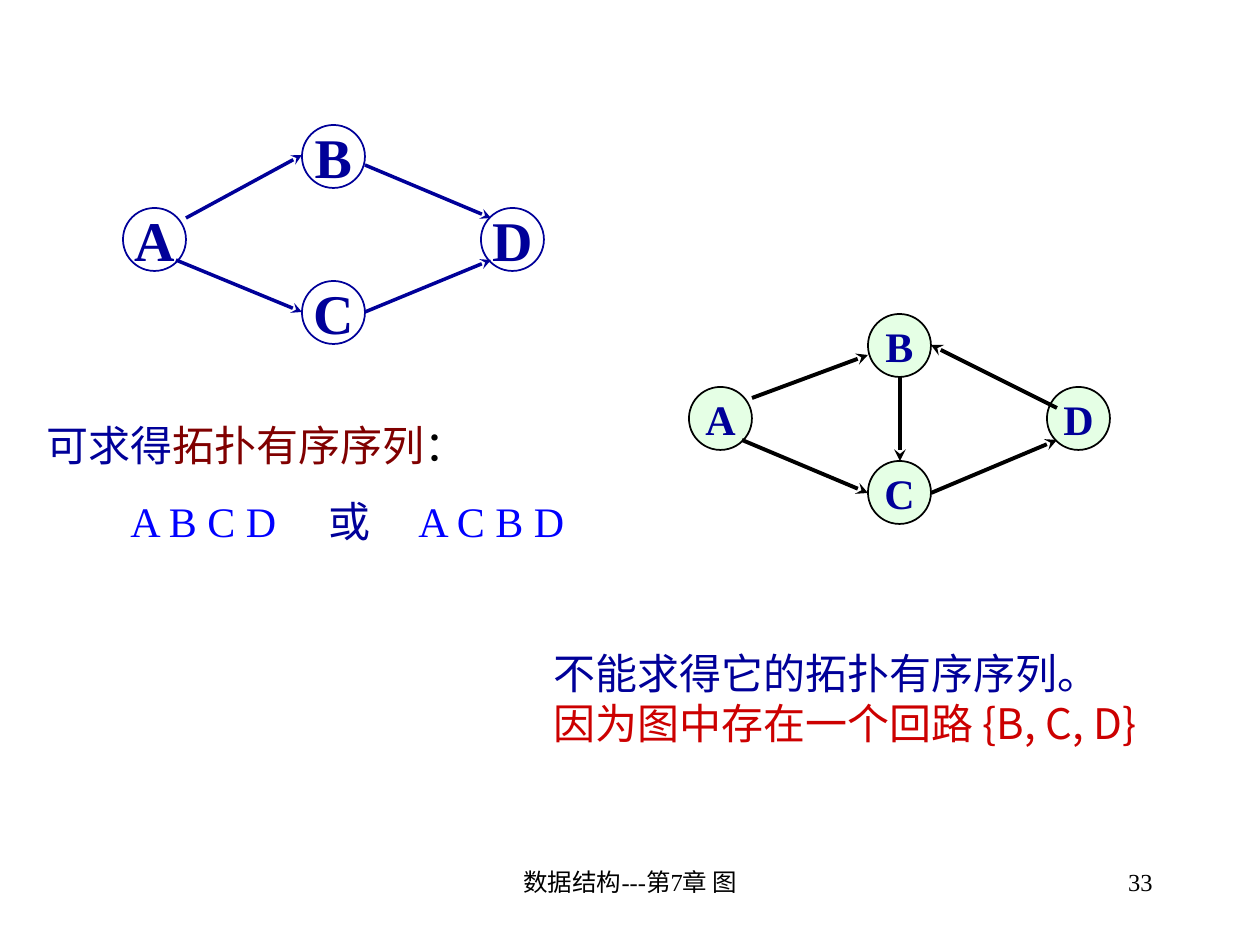
import dataclasses

import pptx
import pptx.dml.color
import pptx.enum.shapes
import pptx.enum.text
import pptx.oxml
import pptx.oxml.ns
import pptx.util

EMU_PER_PX = 914400 / 126
ALIGN = pptx.enum.text.PP_ALIGN
ANCHOR = pptx.enum.text.MSO_ANCHOR


@dataclasses.dataclass(frozen=True)
class Theme:
    navy: str = "000099"
    blue: str = "0000FF"
    maroon: str = "800000"
    red: str = "CC0000"
    black: str = "000000"
    mint: str = "CCFFCC"
    serif: str = "Times New Roman"
    sans: str = "Noto Sans CJK SC"
    footer_size: int = 14
    body_size: int = 24
    large_size: int = 32


def px(value):
    return pptx.util.Emu(round(value * EMU_PER_PX))


def rgb(value):
    return pptx.dml.color.RGBColor.from_string(value)


def add_xml(parent, tag, **attributes):
    child = pptx.oxml.parse_xml(f"<a:{tag} {pptx.oxml.ns.nsdecls('a')}/>")
    for name, value in attributes.items():
        child.set(name, str(value))
    parent.append(child)
    return child


class SlideBuilder:
    def __init__(self, slide, theme):
        self.slide = slide
        self.theme = theme

    def add_runs(self, paragraph, runs, **font_format):
        """Add (text, colour) runs that share one font format."""
        for text, colour in runs:
            run = paragraph.add_run()
            run.text = text
            for name, value in font_format.items():
                setattr(run.font, name, value)
            run.font.color.rgb = rgb(colour)
            if font_format["name"] == self.theme.sans:
                add_xml(run.font._element, "ea", typeface=self.theme.sans)

    def text(self, left, top, width, height, lines, size, font,
             align=ALIGN.LEFT, gap=0, tabs=()):
        box = self.slide.shapes.add_textbox(px(left), px(top), px(width), px(height))
        frame = box.text_frame
        frame.word_wrap = True
        for index, runs in enumerate(lines):
            paragraph = frame.add_paragraph() if index else frame.paragraphs[0]
            paragraph.alignment = align
            if index and gap:
                paragraph.space_before = pptx.util.Pt(gap)
            if index and tabs:
                stops = add_xml(paragraph._p.get_or_add_pPr(), "tabLst")
                for stop in tabs:
                    add_xml(stops, "tab", pos=px(stop), algn="l")
            self.add_runs(paragraph, runs, name=font, size=pptx.util.Pt(size))

    def node(self, group, label, left, top, diameter, line, size, fill=None):
        circle = group.shapes.add_shape(
            pptx.enum.shapes.MSO_SHAPE.OVAL, px(left), px(top), px(diameter), px(diameter))
        circle.shadow.inherit = False
        circle.line.color.rgb = rgb(line)
        circle.line.width = pptx.util.Pt(1)
        if fill:
            circle.fill.solid()
            circle.fill.fore_color.rgb = rgb(fill)
            colour = circle.fill._xPr.find(".//" + pptx.oxml.ns.qn("a:srgbClr"))
            add_xml(colour, "alpha", val=50000)
        else:
            circle.fill.background()
        frame = circle.text_frame
        frame.word_wrap = False
        frame.vertical_anchor = ANCHOR.MIDDLE
        frame.paragraphs[0].alignment = ALIGN.CENTER
        self.add_runs(frame.paragraphs[0], [(label, self.theme.navy)],
                      name=self.theme.serif, size=pptx.util.Pt(size), bold=True)

    def arrow(self, group, start, end, colour, weight):
        edge = group.shapes.add_connector(
            pptx.enum.shapes.MSO_CONNECTOR.STRAIGHT, *map(px, start + end))
        edge.line.color.rgb = rgb(colour)
        edge.line.width = pptx.util.Pt(weight)
        add_xml(edge.line._get_or_add_ln(), "tailEnd", type="stealth")
        add_xml(edge._element.spPr, "effectLst")

    def graph(self, nodes, edges, line, weight, size, fill=None):
        group = self.slide.shapes.add_group_shape()
        for label, (left, top) in nodes.items():
            self.node(group, label, left, top, 63, line, size, fill)
        for start, end in edges:
            self.arrow(group, start, end, line, weight)


def main():
    theme = Theme()
    deck = pptx.Presentation()
    deck.slide_width, deck.slide_height = px(1260), px(945)
    builder = SlideBuilder(deck.slides.add_slide(deck.slide_layouts[6]), theme)

    # Footer and page number
    for left, width, words, align in (
            (431, 399, "数据结构---第7章 图", ALIGN.CENTER),
            (903, 262, "33", ALIGN.RIGHT)):
        builder.text(left, 861, width, 63, [[(words, theme.black)]],
                     theme.footer_size, theme.serif, align)

    # Acyclic graph
    builder.graph(
        {"B": (302, 125), "D": (481, 208), "A": (123, 208), "C": (302, 281)},
        [((186, 218), (302, 155)), ((176, 260), (302, 312)),
         ((365, 165), (491, 218)), ((365, 312), (491, 260))],
        theme.navy, 2, theme.large_size)

    # Its topological orders
    builder.text(
        34, 413, 587, 140,
        [[("可求得", theme.navy), ("拓扑有序序列", theme.maroon), ("：", theme.black)],
         [("\tA B C D", theme.blue), ("\t或", theme.navy), ("\tA C B D", theme.blue)]],
        theme.body_size, theme.serif, gap=15, tabs=(84, 282, 372))

    # Graph with a cycle
    builder.graph(
        {"B": (868, 314), "D": (1047, 387), "A": (689, 387), "C": (868, 461)},
        [((752, 398), (868, 355)), ((742, 440), (868, 493)),
         ((931, 493), (1057, 440)), ((1057, 408), (931, 345)),
         ((900, 377), (900, 461))],
        theme.black, 2.25, theme.body_size, theme.mint)

    # Why it has no topological order
    builder.text(
        541, 641, 703, 113,
        [[("不能求得它的拓扑有序序列。", theme.navy)],
         [("因为图中存在一个回路 {B, C, D}", theme.red)]],
        theme.body_size, theme.sans)

    deck.save("out.pptx")


if __name__ == "__main__":
    main()
